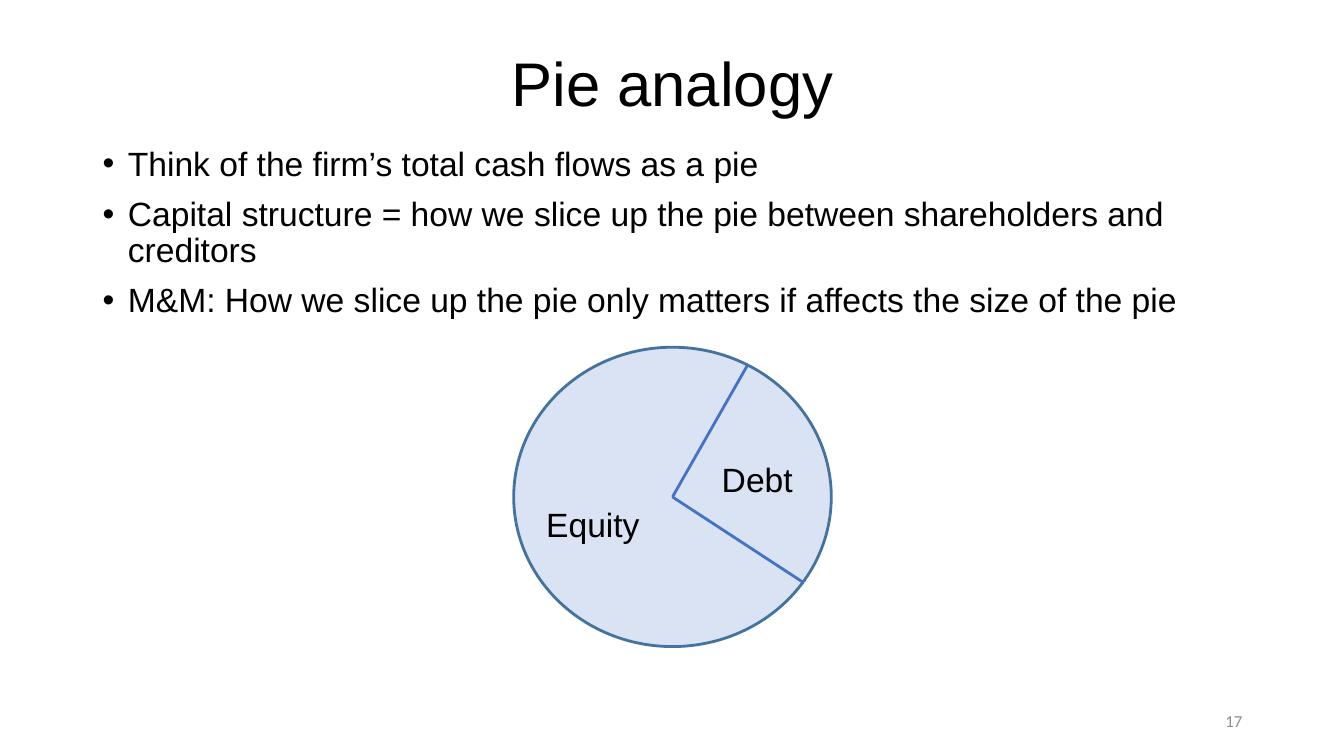
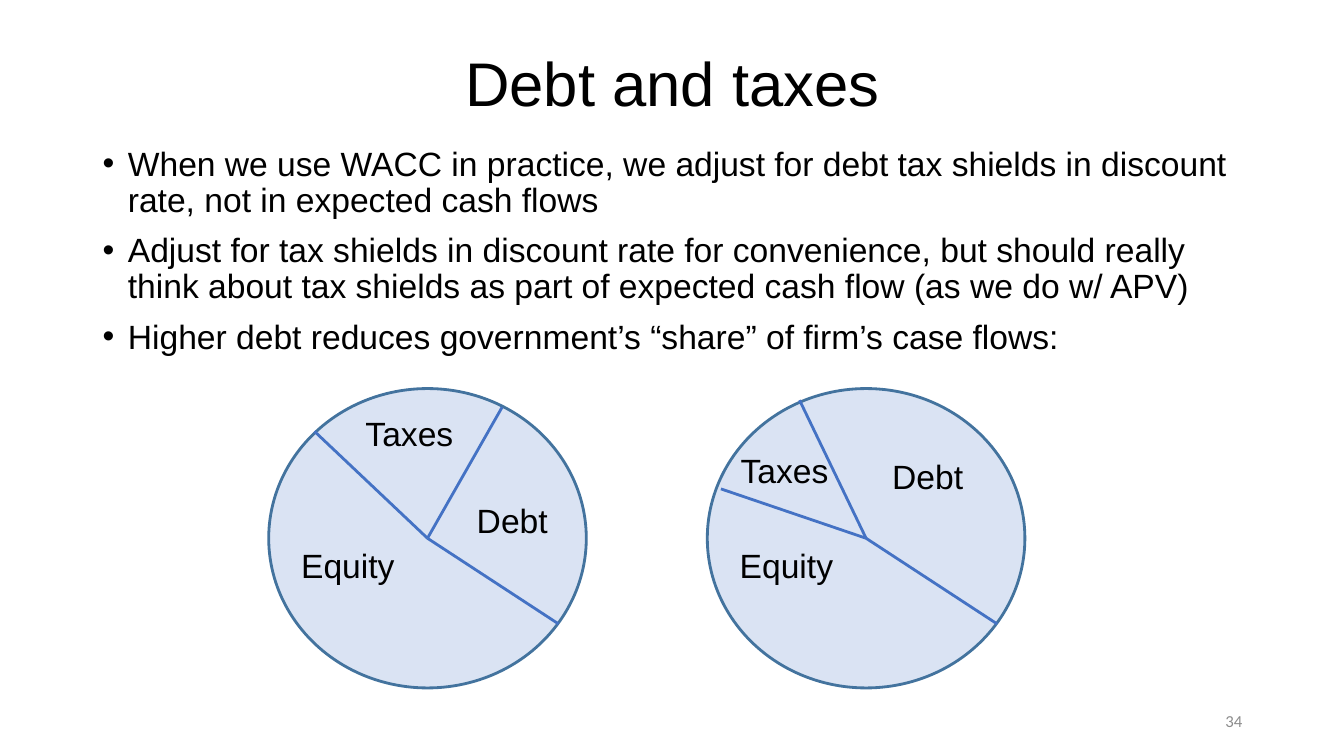
from lxml import etree
from pptx import Presentation
from pptx.dml.color import RGBColor
from pptx.enum.shapes import MSO_CONNECTOR, MSO_SHAPE
from pptx.enum.text import MSO_ANCHOR, MSO_AUTO_SIZE, PP_ALIGN
from pptx.oxml.ns import qn
from pptx.util import Pt

OVAL, LINE = MSO_SHAPE.OVAL, MSO_CONNECTOR.STRAIGHT
LEFT, MID, RIGHT = PP_ALIGN.LEFT, PP_ALIGN.CENTER, PP_ALIGN.RIGHT
TOP, MIDDLE = MSO_ANCHOR.TOP, MSO_ANCHOR.MIDDLE
GROW, FIXED = MSO_AUTO_SIZE.SHAPE_TO_FIT_TEXT, MSO_AUTO_SIZE.NONE
TITLE_ONLY = 5

SCALE = 9144  # EMU per px, 100 px to the inch
PAGE = (1333, 750)
INK, GREY = "000000", "8C8C8C"
PALE, EDGE, CUT = "DAE3F3", "43739E", "4472C4"
PIE_W, PIE_H = 315, 297
LABEL_W, LABEL_H = 138, 50

HEAD = {"size": Pt(44), "name": "Arial", "bold": False}
TEXT = {"size": Pt(24), "name": "Arial"}
FOOT = {"size": Pt(12), "name": "Calibri"}
LIST = {"line_spacing": 0.9, "space_before": Pt(10)}

# Points are offsets from the pie's centre: rim ends of cuts, corners of labels.
DEBT_CUT, LOW_CUT = (74, -130), (130, 85)
EQUITY = ("Equity", -148, 2)
DEBT = ("Debt", 15, -43)


def px(*nums):
    return [round(n * SCALE) for n in nums]


def hue(code):
    return RGBColor.from_string(code)


def apply(item, style):
    for key, value in style.items():
        setattr(item, key, value)


def fill_text(frame, lines, font, color=INK, align=LEFT, anchor=TOP,
              fit=FIXED, para={}):
    apply(frame, {"word_wrap": True, "auto_size": fit,
                  "vertical_anchor": anchor})
    for i, line in enumerate(lines):
        par = frame.add_paragraph() if i else frame.paragraphs[0]
        apply(par, {"alignment": align, **para})
        run = par.add_run()
        run.text = line
        apply(run.font, font)
        run.font.color.rgb = hue(color)


def add_text(shapes, box, lines, font, **style):
    frame = shapes.add_textbox(*px(*box)).text_frame
    fill_text(frame, lines, font, **style)
    return frame


def add_list(slide, lines):
    frame = add_text(slide.shapes, (92, 141, 1150, 535), lines, TEXT,
                     para=LIST)
    indent = px(25)[0]
    for par in frame.paragraphs:
        props = par._p.get_or_add_pPr()
        props.set("marL", str(indent))
        props.set("indent", str(-indent))
        etree.SubElement(props, qn("a:buFont")).set("typeface", "Arial")
        etree.SubElement(props, qn("a:buChar")).set("char", "•")


def set_line(shape, color):
    shape.line.color.rgb = hue(color)
    shape.line.width = Pt(2)


def add_cut(shapes, start, end):
    cut = shapes.add_connector(LINE, *px(*start, *end))
    set_line(cut, CUT)
    etree.SubElement(cut._element.spPr, qn("a:effectLst"))


def add_pie(slide, x, y, cuts, labels):
    """Draw a grouped pie centred on x, y."""
    shapes = slide.shapes.add_group_shape().shapes
    disc = shapes.add_shape(
        OVAL, *px(x - PIE_W / 2, y - PIE_H / 2, PIE_W, PIE_H))
    disc.shadow.inherit = False
    disc.fill.solid()
    disc.fill.fore_color.rgb = hue(PALE)
    set_line(disc, EDGE)
    for dx, dy in cuts:
        add_cut(shapes, (x, y), (x + dx, y + dy))
    for word, dx, dy in labels:
        add_text(shapes, (x + dx, y + dy, LABEL_W, LABEL_H), [word], TEXT,
                 align=MID, fit=GROW)


def add_slide(deck, title, number, lines):
    slide = deck.slides.add_slide(deck.slide_layouts[TITLE_ONLY])
    head = slide.shapes.title
    box = px(92, 40, 1150, 91)
    apply(head, dict(zip(("left", "top", "width", "height"), box)))
    fill_text(head.text_frame, [title], HEAD, align=MID, anchor=MIDDLE,
              para={"line_spacing": 0.9})
    add_list(slide, lines)
    add_text(slide.shapes, (942, 695, 300, 40), [number], FOOT,
             color=GREY, align=RIGHT, anchor=MIDDLE)
    return slide


def main():
    deck = Presentation()
    deck.slide_width, deck.slide_height = px(*PAGE)

    slide = add_slide(deck, "Pie analogy", "17", [
        "Think of the firm’s total cash flows as a pie",
        "Capital structure = how we slice up the pie between shareholders "
        "and creditors",
        "M&M: How we slice up the pie only matters if affects the size of "
        "the pie",
    ])
    add_pie(slide, 667, 493, [DEBT_CUT, LOW_CUT], [EQUITY, DEBT])

    slide = add_slide(deck, "Debt and taxes", "34", [
        "When we use WACC in practice, we adjust for debt tax shields in "
        "discount rate, not in expected cash flows",
        "Adjust for tax shields in discount rate for convenience, but should "
        "really think about tax shields as part of expected cash flow "
        "(as we do w/ APV)",
        "Higher debt reduces government’s “share” of firm’s case flows:",
    ])
    add_pie(slide, 424, 534, [DEBT_CUT, LOW_CUT, (-112, -106)],
            [EQUITY, DEBT, ("Taxes", -87, -129)])
    add_pie(slide, 859, 534, [(-66, -137), LOW_CUT, (-144, -49)],
            [EQUITY, ("Debt", -8, -87), ("Taxes", -150, -93)])

    deck.save("out.pptx")


if __name__ == "__main__":
    main()
